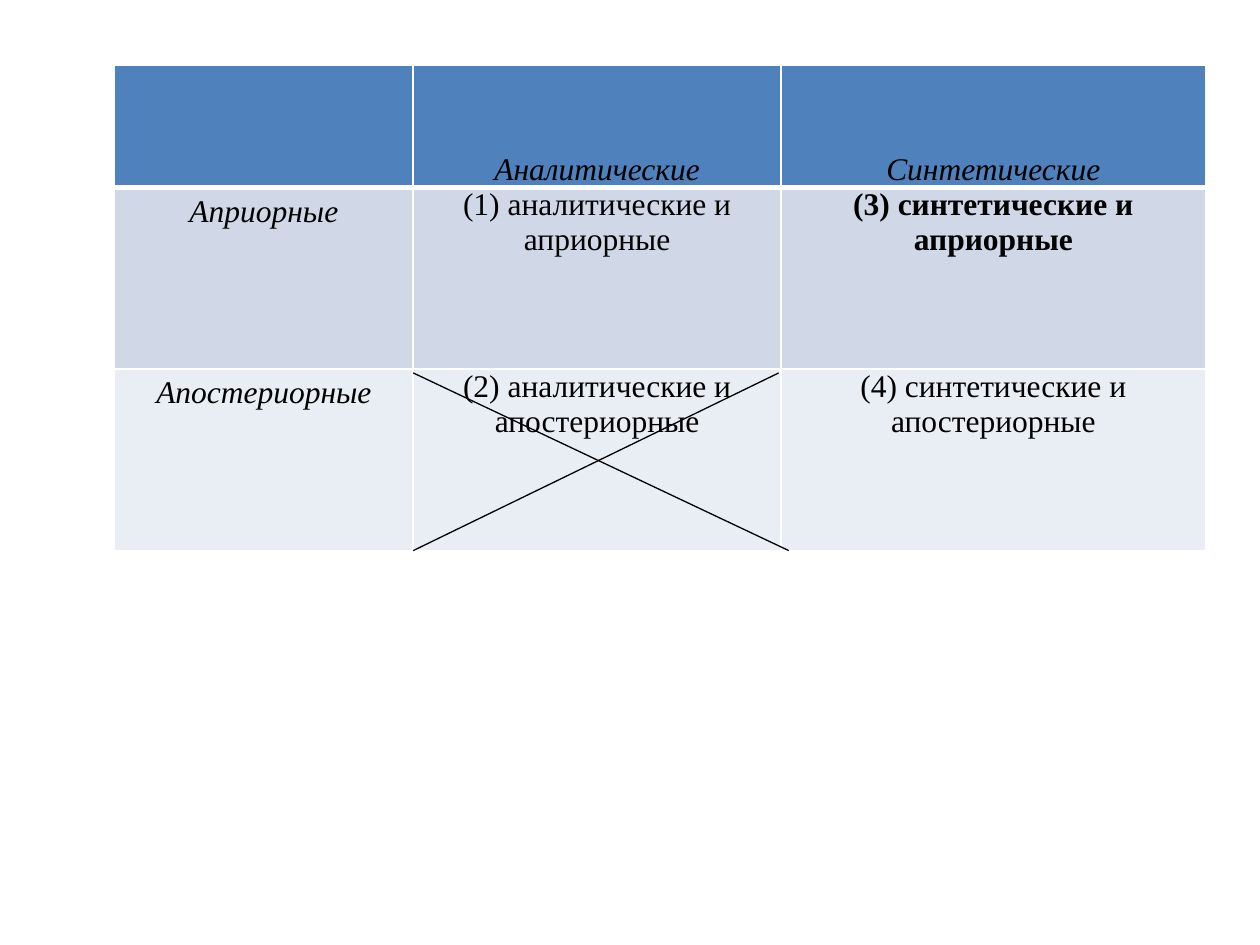
"""Build a slide with a table of judgement kinds, one cell of it crossed out."""
from dataclasses import dataclass

from lxml import etree
from pptx import Presentation
from pptx.dml.color import RGBColor
from pptx.enum.shapes import MSO_CONNECTOR
from pptx.enum.text import MSO_ANCHOR, PP_ALIGN
from pptx.oxml.ns import qn
from pptx.util import Inches, Pt

STRAIGHT = MSO_CONNECTOR.STRAIGHT
TOP, BOTTOM = MSO_ANCHOR.TOP, MSO_ANCHOR.BOTTOM
CENTER = PP_ALIGN.CENTER

BLACK = RGBColor(0x00, 0x00, 0x00)
WHITE = RGBColor(0xFF, 0xFF, 0xFF)
ROW_FILLS = (
    RGBColor(0x4F, 0x81, 0xBD),
    RGBColor(0xD0, 0xD8, 0xE8),
    RGBColor(0xE9, 0xED, 0xF4),
)

FONT = {"name": "Times New Roman", "size": Pt(18)}
TIGHT = {
    "margin_left": Inches(0.03),
    "margin_right": Inches(0.03),
    "margin_top": 0,
    "margin_bottom": 0,
}
BLANK_LAYOUT = 6
LEFT, UPPER = 0.91, 0.52
COLUMNS = (2.37, 2.92, 3.37)
ROWS = (0.97, 1.44, 1.44)


@dataclass(frozen=True)
class Entry:
    """Text of one table cell and its style."""

    text: str
    italic: bool = False
    bold: bool = False
    tight: bool = True
    anchor: MSO_ANCHOR = TOP


@dataclass(frozen=True)
class Stroke:
    """Diagonal line given by its end points in inches."""

    start: tuple[float, float]
    end: tuple[float, float]


ENTRIES = (
    (
        Entry(""),
        Entry("Аналитические", italic=True, anchor=BOTTOM),
        Entry("Синтетические", italic=True, anchor=BOTTOM),
    ),
    (
        Entry("Априорные", italic=True, tight=False),
        Entry("(1) аналитические и априорные"),
        Entry("(3) синтетические и априорные", bold=True),
    ),
    (
        Entry("Апостериорные", italic=True, tight=False),
        Entry("(2) аналитические и апостериорные"),
        Entry("(4) синтетические и апостериорные"),
    ),
)

CROSS_LEFT, CROSS_TOP = LEFT + COLUMNS[0], 2.96
CROSS_BOTTOM = UPPER + sum(ROWS)
CROSS = (
    Stroke((CROSS_LEFT, CROSS_BOTTOM), (6.18, CROSS_TOP)),
    Stroke((CROSS_LEFT, CROSS_TOP), (6.26, CROSS_BOTTOM)),
)


def set_attributes(target, values: dict) -> None:
    """Set every named value on the target."""
    for name, value in values.items():
        setattr(target, name, value)


def add_borders(cell, widths: dict[str, int]) -> None:
    """Give the cell white borders of the given widths in points."""
    properties = cell._tc.get_or_add_tcPr()
    for side, width in widths.items():
        line = etree.SubElement(properties, qn(f"a:ln{side}"), w=str(Pt(width)))
        fill = etree.SubElement(line, qn("a:solidFill"))
        etree.SubElement(fill, qn("a:srgbClr"), val=str(WHITE))


def fill_cell(cell, entry: Entry, row: int) -> None:
    """Write and format one table cell."""
    above, below = 3 if row == 1 else 1, 3 if row == 0 else 1
    add_borders(cell, {"L": 1, "R": 1, "T": above, "B": below})
    cell.fill.solid()
    cell.fill.fore_color.rgb = ROW_FILLS[row]
    cell.vertical_anchor = entry.anchor
    if entry.tight:
        set_attributes(cell, TIGHT)
    para = cell.text_frame.paragraphs[0]
    para.alignment = CENTER
    if entry.text:
        span = para.add_run()
        span.text = entry.text
        style = {"italic": entry.italic, "bold": entry.bold}
        set_attributes(span.font, FONT | style)
        span.font.color.rgb = BLACK


def add_judgements(page) -> None:
    """Add the table of judgement kinds."""
    table = page.shapes.add_table(
        len(ROWS), len(COLUMNS), Inches(LEFT), Inches(UPPER),
        Inches(sum(COLUMNS)), Inches(sum(ROWS)),
    ).table
    for column, width in zip(table.columns, COLUMNS):
        column.width = Inches(width)
    for row, height in zip(table.rows, ROWS):
        row.height = Inches(height)
    for row, entries in enumerate(ENTRIES):
        for column, entry in enumerate(entries):
            fill_cell(table.cell(row, column), entry, row)


def add_stroke(page, stroke: Stroke) -> None:
    """Add one thin black line without a shadow."""
    points = (Inches(value) for value in stroke.start + stroke.end)
    connector = page.shapes.add_connector(STRAIGHT, *points)
    connector.line.color.rgb = BLACK
    connector.line.width = Pt(0.75)
    etree.SubElement(connector._element.spPr, qn("a:effectLst"))


def main() -> None:
    """Build and save the deck."""
    deck = Presentation()
    deck.slide_width, deck.slide_height = Inches(10), Inches(7.5)
    page = deck.slides.add_slide(deck.slide_layouts[BLANK_LAYOUT])
    add_judgements(page)
    for stroke in CROSS:
        add_stroke(page, stroke)
    deck.save("out.pptx")


if __name__ == "__main__":
    main()
